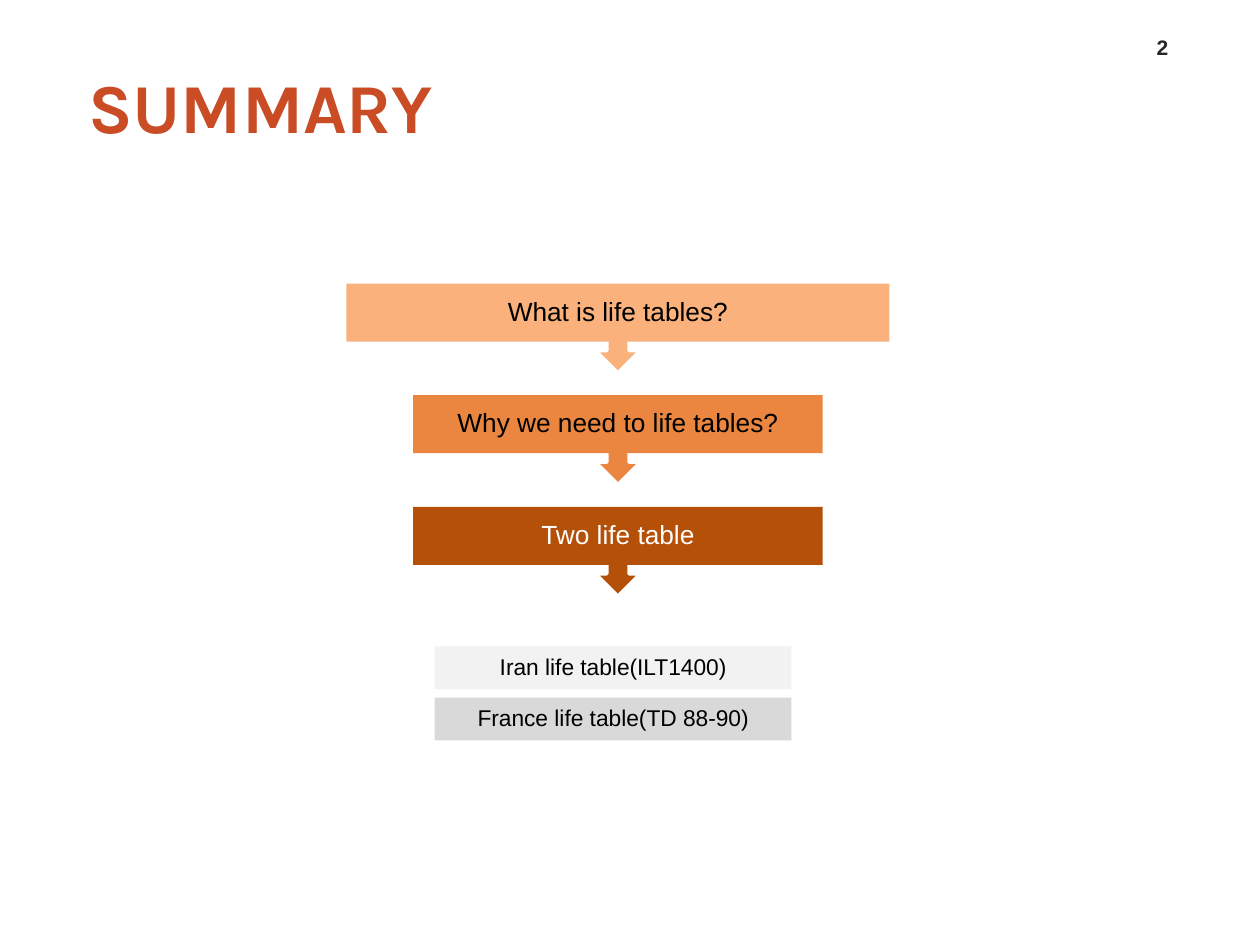
from pptx import Presentation
from pptx.dml.color import RGBColor
from pptx.enum.shapes import MSO_SHAPE as Shape
from pptx.enum.text import MSO_ANCHOR as Anchor, PP_ALIGN as Align
from pptx.util import Pt

BLACK = RGBColor(0x00, 0x00, 0x00)
WHITE = RGBColor(0xFF, 0xFF, 0xFF)
RUST = RGBColor(0xC9, 0x4C, 0x25)
CHARCOAL = RGBColor(0x26, 0x26, 0x26)
PEACH = RGBColor(0xFA, 0xB1, 0x7B)
ORANGE = RGBColor(0xEA, 0x86, 0x40)
BROWN = RGBColor(0xB4, 0x50, 0x07)
PALE_GRAY = RGBColor(0xF2, 0xF2, 0xF2)
GRAY = RGBColor(0xD9, 0xD9, 0xD9)

# Content: text, width, fill, text colour
STEPS = [
    ("What is life tables?", 310.3, PEACH, BLACK),
    ("Why we need to life tables?", 234, ORANGE, BLACK),
    ("Two life table", 234, BROWN, WHITE),
]
TABLES = [
    ("Iran life table(ILT1400)", PALE_GRAY),
    ("France life table(TD 88-90)", GRAY),
]

# Layout in points
STEP_CENTER, STEP_TOP, STEP_PITCH = 353.1, 162, 63.8
CALLOUT_HEIGHT, LABEL_HEIGHT = 51.1, 33.2
TABLE_LEFT, TABLE_TOP, TABLE_PITCH = 248.4, 369.4, 29.3
TABLE_WIDTH, TABLE_HEIGHT = 203.8, 24.5


def write(shape, text, size, color, font="Arial", bold=False, align=Align.CENTER,
          anchor=Anchor.MIDDLE, inset=(7.2, 3.6), spacing=None):
    frame = shape.text_frame
    frame.word_wrap = True
    frame.vertical_anchor = anchor
    frame.margin_left = frame.margin_right = Pt(inset[0])
    frame.margin_top = frame.margin_bottom = Pt(inset[1])
    para = frame.paragraphs[0]
    para.alignment = align
    para.line_spacing = spacing
    span = para.add_run()
    span.text = text
    span.font.name = font
    span.font.size = Pt(size)
    span.font.bold = bold
    span.font.color.rgb = color


def add_box(page, kind, left, top, width, height, fill):
    box = page.shapes.add_shape(kind, Pt(left), Pt(top), Pt(width), Pt(height))
    box.shadow.inherit = False
    box.fill.solid()
    box.fill.fore_color.rgb = fill
    box.line.fill.background()
    return box


def main():
    deck = Presentation()
    deck.slide_width, deck.slide_height = Pt(720), Pt(540)
    page = deck.slides.add_slide(deck.slide_layouts[6])

    # Title and page number
    title = page.shapes.add_textbox(Pt(36), Pt(28.8), Pt(383.8), Pt(62.6))
    write(title, "SUMMARY", 40, RUST, font="Karla", bold=True,
          align=Align.LEFT, inset=(14.4, 3.6))
    number = page.shapes.add_textbox(Pt(644.4), Pt(13.7), Pt(39.6), Pt(23.8))
    write(number, "2", 12, CHARCOAL, bold=True, anchor=Anchor.BOTTOM)

    # Steps: a downward callout with a label over its body
    for index, (text, width, fill, color) in enumerate(STEPS):
        left = STEP_CENTER - width / 2
        top = STEP_TOP + index * STEP_PITCH
        callout = add_box(page, Shape.UP_ARROW_CALLOUT, left, top, width,
                          CALLOUT_HEIGHT, fill)
        callout.rotation = 180
        callout.line.color.rgb = WHITE
        callout.line.width = Pt(2)
        label = add_box(page, Shape.RECTANGLE, left, top, width, LABEL_HEIGHT, fill)
        write(label, text, 15, color, inset=(8.6, 8.6), spacing=0.9)

    # The two life tables
    for index, (text, fill) in enumerate(TABLES):
        box = add_box(page, Shape.RECTANGLE, TABLE_LEFT, TABLE_TOP + index * TABLE_PITCH,
                      TABLE_WIDTH, TABLE_HEIGHT, fill)
        write(box, text, 13, BLACK, inset=(7.2, 7.2), spacing=0.9)

    deck.save("out.pptx")


if __name__ == "__main__":
    main()
